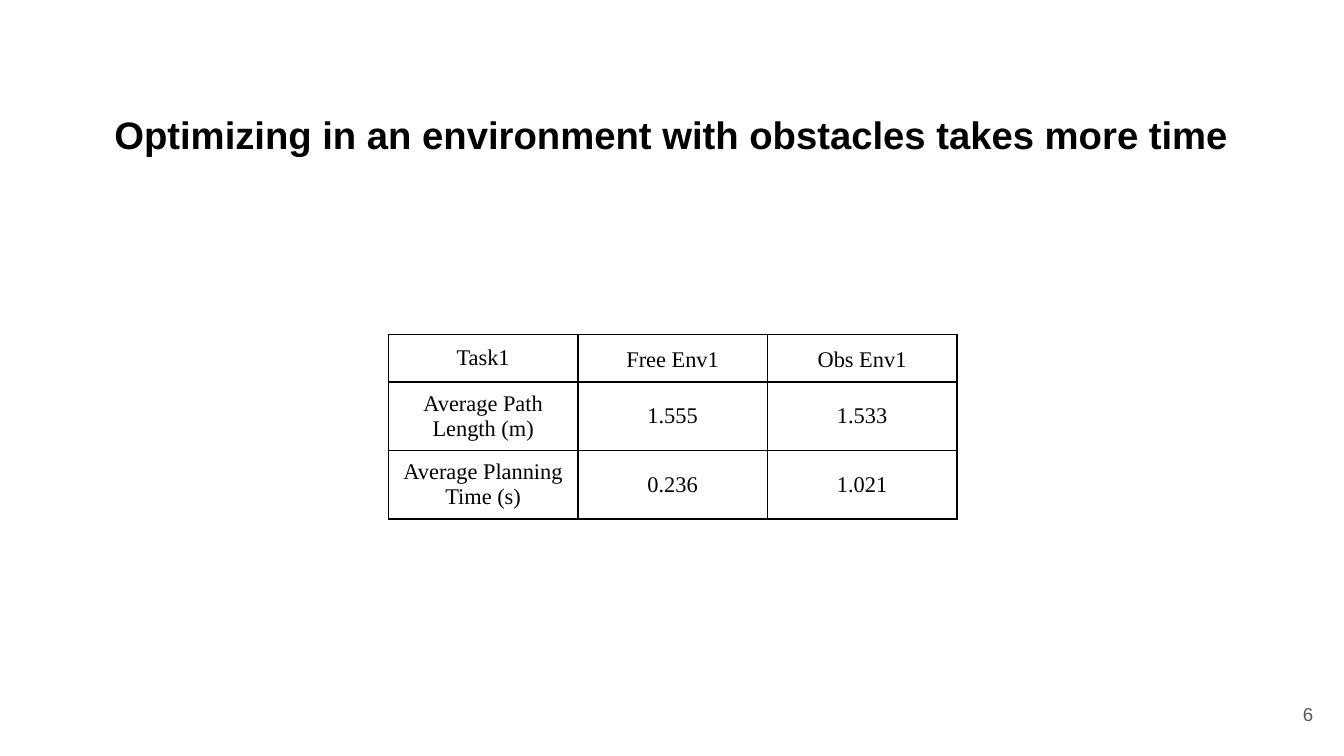
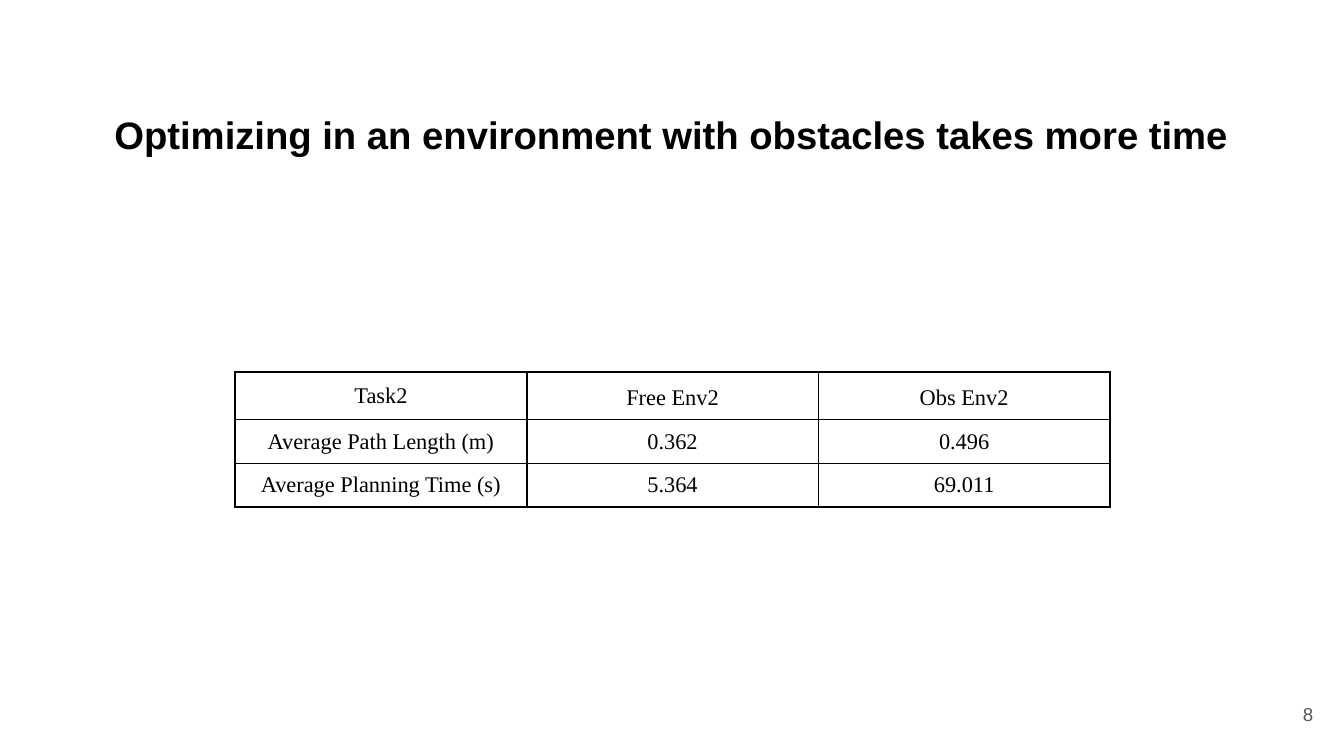
import pptx
import pptx.dml.color
import pptx.enum.text
import pptx.oxml
import pptx.oxml.ns
import pptx.util

Inches, Pt = pptx.util.Inches, pptx.util.Pt
ALIGN, ANCHOR = pptx.enum.text.PP_ALIGN, pptx.enum.text.MSO_ANCHOR

BLACK, GRAY = "000000", "595959"
HEADING = "Optimizing in an environment with obstacles takes more time"
ROW_LABELS = ["Average Path Length (m)", "Average Planning Time (s)"]
HEADER_HEIGHT = 0.35

RESULTS = [
    {"page": "6", "left": 2.89, "top": 2.49, "column": 1.41, "row": 0.51,
     "header": ["Task1", "Free Env1", "Obs Env1"],
     "values": [["1.555", "1.533"], ["0.236", "1.021"]]},
    {"page": "8", "left": 1.75, "top": 2.77, "column": 2.17, "row": 0.32,
     "header": ["Task2", "Free Env2", "Obs Env2"],
     "values": [["0.362", "0.496"], ["5.364", "69.011"]]},
]


def style(paragraph, font, size, color, align, bold=False):
    paragraph.font.name = font
    paragraph.font.size = Pt(size)
    paragraph.font.bold = bold
    paragraph.font.color.rgb = pptx.dml.color.RGBColor.from_string(color)
    paragraph.alignment = align


def add_borders(cell, color, width):
    """Draw all four sides; call before setting the fill, which must follow in the XML."""
    properties = cell._tc.get_or_add_tcPr()
    for side in ("lnL", "lnR", "lnT", "lnB"):
        properties.append(pptx.oxml.parse_xml(
            f'<a:{side} {pptx.oxml.ns.nsdecls("a")} w="{int(Pt(width))}">'
            f'<a:solidFill><a:srgbClr val="{color}"/></a:solidFill></a:{side}>'))


deck = pptx.Presentation()
deck.slide_width = Inches(10)
deck.slide_height = deck.slide_width * 9 // 16
title_only = deck.slide_layouts[5]

for result in RESULTS:
    slide = deck.slides.add_slide(title_only)

    page_number = slide.shapes.add_textbox(Inches(9.27), Inches(5.1), Inches(0.6), Inches(0.43))
    heading = slide.shapes.title
    heading.left, heading.top = Inches(0.62), Inches(0.68)
    heading.width, heading.height = Inches(8.76), Inches(0.63)
    for box, words, anchor in ((page_number, result["page"], ANCHOR.MIDDLE),
                               (heading, HEADING, ANCHOR.TOP)):
        frame = box.text_frame
        frame.text = words
        frame.word_wrap = True
        frame.auto_size = pptx.enum.text.MSO_AUTO_SIZE.NONE
        frame.vertical_anchor = anchor
        frame.margin_left = frame.margin_right = Inches(0.1)
        frame.margin_top = frame.margin_bottom = Inches(0.1)
    style(page_number.text_frame.paragraphs[0], "Arial", 10, GRAY, ALIGN.RIGHT)
    heading_line = heading.text_frame.paragraphs[0]
    style(heading_line, "Arial", 20.5, BLACK, ALIGN.CENTER, bold=True)
    heading_line.line_spacing = 1.15
    heading_line.space_after = Pt(12)

    rows = [result["header"]]
    rows += [[label, *values] for label, values in zip(ROW_LABELS, result["values"])]
    heights = [HEADER_HEIGHT] + [result["row"]] * len(ROW_LABELS)
    columns = len(result["header"])
    table = slide.shapes.add_table(
        len(rows), columns, Inches(result["left"]), Inches(result["top"]),
        Inches(result["column"] * columns), Inches(sum(heights))).table
    table.first_row = table.horz_banding = False
    for column in table.columns:
        column.width = Inches(result["column"])
    for r, (row, height) in enumerate(zip(rows, heights)):
        table.rows[r].height = Inches(height)
        for c, words in enumerate(row):
            cell = table.cell(r, c)
            cell.text = words
            cell.vertical_anchor = ANCHOR.MIDDLE
            cell.margin_left = cell.margin_right = Inches(0.07)
            cell.margin_top = cell.margin_bottom = Inches(0.07)
            add_borders(cell, BLACK, 1)
            cell.fill.background()
            paragraph = cell.text_frame.paragraphs[0]
            style(paragraph, "Times New Roman", 12, BLACK, ALIGN.CENTER)
            if r == 0 and c > 0:
                paragraph.line_spacing = 1.15

deck.save("out.pptx")
